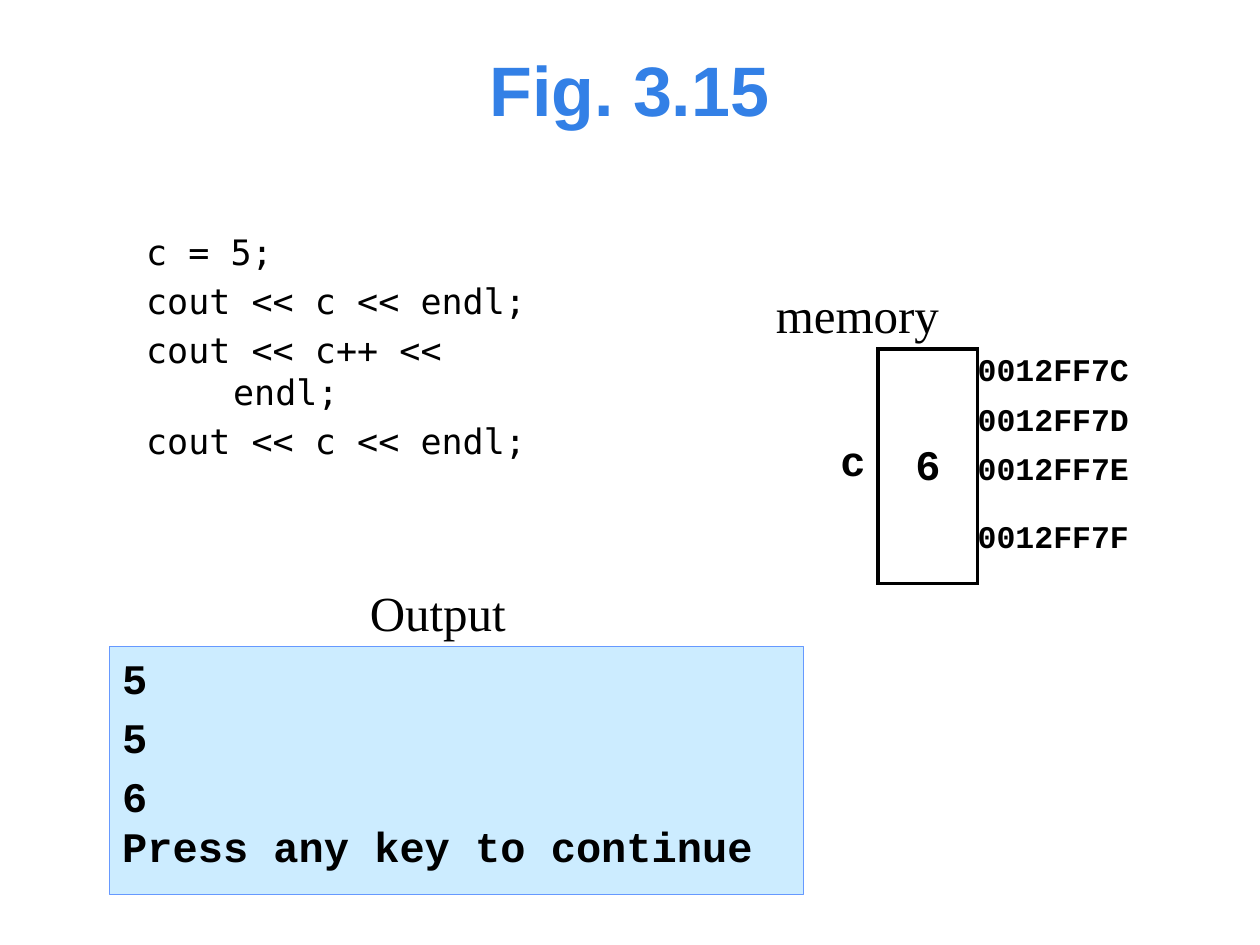
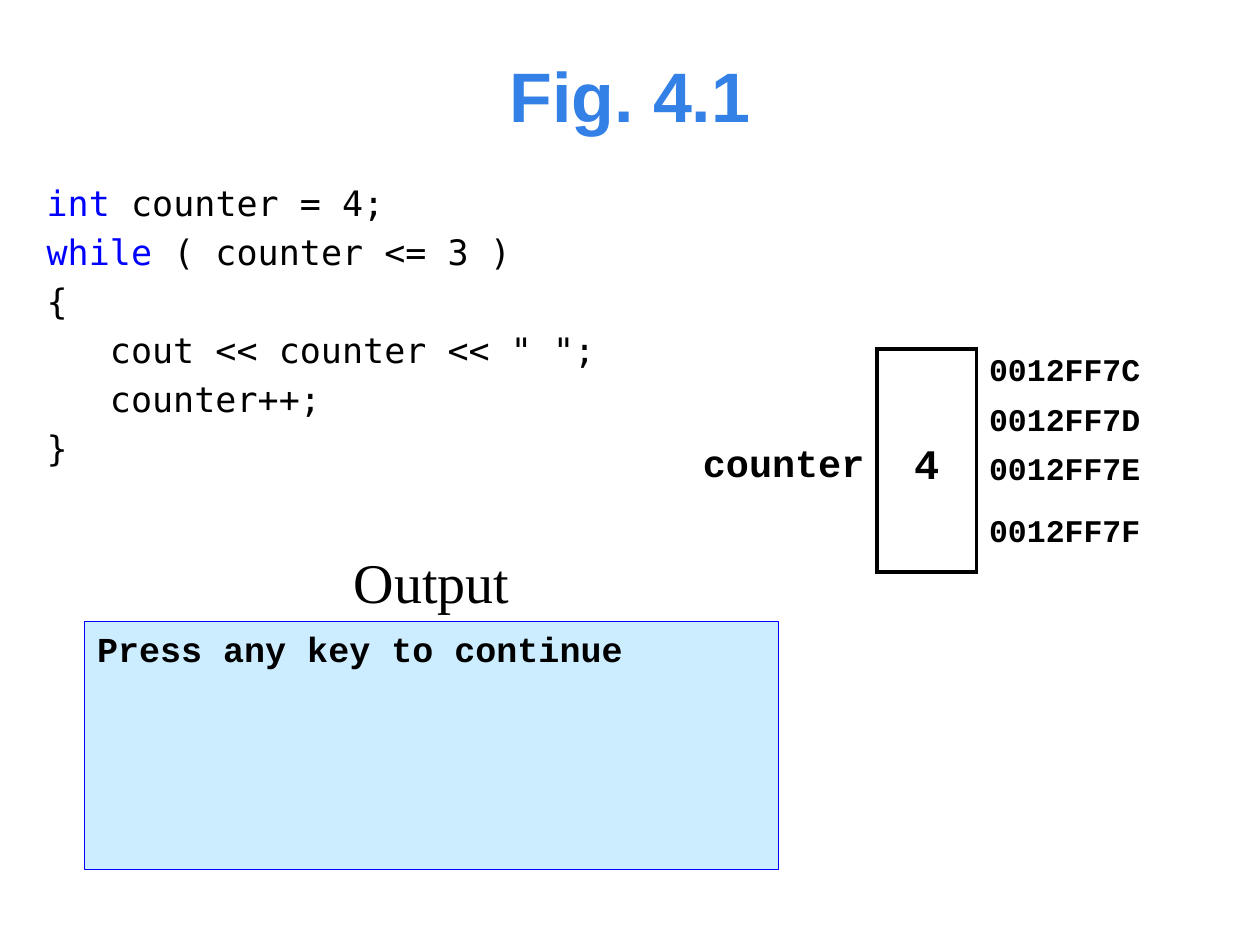
from lxml import etree
from pptx import Presentation
from pptx.dml.color import RGBColor
from pptx.enum.text import MSO_ANCHOR, MSO_AUTO_SIZE, PP_ALIGN
from pptx.oxml.ns import qn
from pptx.util import Inches, Pt

LEFT, CENTER, RIGHT = PP_ALIGN.LEFT, PP_ALIGN.CENTER, PP_ALIGN.RIGHT
TOP, MIDDLE, BOTTOM = MSO_ANCHOR.TOP, MSO_ANCHOR.MIDDLE, MSO_ANCHOR.BOTTOM
FIXED_SIZE = MSO_AUTO_SIZE.NONE

COLORS = {
    "title": "3380E6",
    "text": "000000",
    "keyword": "0000FF",
    "output": "CCECFF",
    "soft_edge": "6699FF",
    "strong_edge": "0000FF",
}
TITLE_FONT, CODE_FONT = "Arial", "DejaVu Sans Mono"
OUTPUT_FONT, LABEL_FONT = "Courier New", "Times New Roman"
PLAIN_TABLE = "{2D5ABB26-0587-4C30-8999-92F81FD0307C}"
TWO_CONTENT_LAYOUT = 3
ADDRESSES = ["0012FF7C", "0012FF7D", "0012FF7E", "0012FF7F"]
ROW_HEIGHT = 0.39
BORDER_WIDTH = 2.25


def color(name):
    return RGBColor.from_string(COLORS[name])


def write(frame, lines, font, size, bold=False, tone="text", align=LEFT,
          before=0, spacing=1.0, hanging=0):
    for number, line in enumerate(lines):
        para = frame.add_paragraph() if number else frame.paragraphs[0]
        para.alignment = align
        para.space_before = Pt(size * before)
        para.line_spacing = spacing
        properties = para._p.get_or_add_pPr()
        properties.set("marL", str(Inches(hanging)))
        properties.set("indent", str(Inches(-hanging)))
        etree.SubElement(properties, qn("a:buNone"))
        spans = [(line, tone)] if isinstance(line, str) else line
        for text, span_tone in spans:
            span = para.add_run()
            span.text = text
            span.font.name = font
            span.font.size = Pt(size)
            span.font.bold = bold
            span.font.color.rgb = color(span_tone)


def place(box, left, top, width, height, anchor=TOP, wrap=True):
    box.left, box.top = Inches(left), Inches(top)
    box.width, box.height = Inches(width), Inches(height)
    frame = box.text_frame
    frame.auto_size = FIXED_SIZE
    frame.word_wrap = wrap
    frame.vertical_anchor = anchor
    return frame


def add_page(deck, title, area):
    page = deck.slides.add_slide(deck.slide_layouts[TWO_CONTENT_LAYOUT])
    frame = place(page.shapes.title, *area, anchor=MIDDLE)
    write(frame, [title], TITLE_FONT, 40, bold=True, tone="title", align=CENTER)
    return page


def fill_code(page, lines, area):
    frame = place(page.placeholders[1], *area)
    write(frame, lines, CODE_FONT, 20, before=0.2, hanging=0.69)


def fill_output(page, lines, left, top, size, edge):
    box = page.placeholders[2]
    frame = place(box, left, top, 5.51, 1.97)
    box.fill.solid()
    box.fill.fore_color.rgb = color("output")
    box.line.color.rgb = color(edge)
    box.line.width = Pt(0.75)
    write(frame, lines, OUTPUT_FONT, size, bold=True, before=0.2, hanging=0.38)
    return frame


def add_label(page, text, left, top, height, size, anchor=TOP):
    box = page.shapes.add_textbox(0, 0, 0, 0)
    frame = place(box, left, top, 1.57, height, anchor=anchor, wrap=False)
    write(frame, [text], LABEL_FONT, size, align=CENTER)


def set_borders(cell, sides):
    properties = cell._tc.get_or_add_tcPr()
    for position, side in enumerate(sides):
        line = etree.Element(qn("a:ln" + side), w=str(Pt(BORDER_WIDTH)))
        fill = etree.SubElement(line, qn("a:solidFill"))
        etree.SubElement(fill, qn("a:srgbClr"), val=COLORS["text"])
        properties.insert(position, line)


def set_margins(cell, left, top, right, bottom):
    cell.margin_left, cell.margin_top = Inches(left), Inches(top)
    cell.margin_right, cell.margin_bottom = Inches(right), Inches(bottom)


def add_memory(page, name, value, left, widths, margins, name_size):
    count = len(ADDRESSES)
    table = page.shapes.add_table(
        count, len(widths), Inches(left), Inches(2.77),
        Inches(sum(widths)), Inches(ROW_HEIGHT * count)).table
    table.first_row = table.horz_banding = False
    table._tbl.tblPr.find(qn("a:tableStyleId")).text = PLAIN_TABLE
    for column, width in zip(table.columns, widths):
        column.width = Inches(width)
    for row_number, row in enumerate(table.rows):
        row.height = Inches(ROW_HEIGHT)
        for cell, margin in zip(row.cells, margins):
            cell.fill.background()
            cell.vertical_anchor = MIDDLE
            set_margins(cell, *margin)
        write(row.cells[2].text_frame, [ADDRESSES[row_number]],
              OUTPUT_FONT, 18, bold=True, before=0.2)
    for column, text, size, align in ((0, name, name_size, RIGHT),
                                      (1, value, 24, CENTER)):
        cell = table.cell(0, column)
        cell.merge(table.cell(count - 1, column))
        write(cell.text_frame, [text], OUTPUT_FONT, size, bold=True,
              align=align, before=0.2, spacing=1.4)
    set_borders(table.cell(0, 1), "LRTB")
    for row_number in range(1, count):
        set_borders(table.cell(row_number, 1),
                    "LRB" if row_number == count - 1 else "LR")


def add_increment_page(deck):
    page = add_page(deck, "Fig. 3.15", (0.27, 0.21, 9.45, 0.98))
    fill_code(page, ["c = 5;", "cout << c << endl;", "cout << c++ << endl;",
                     "cout << c << endl;"], (1.06, 1.78, 3.54, 1.77))
    output = fill_output(page, ["5", "5", "6", "Press any key to continue"],
                         0.87, 5.13, 24, "soft_edge")
    output.paragraphs[-1].space_before = Pt(0)
    add_memory(page, "c", "6", 6.38, (0.59, 0.79, 1.38),
               ((0.1, 0, 0.1, 0.16), (0, 0, 0, 0.1), (0, 0, 0, 0)), 24)
    add_label(page, "Output", 2.69, 4.57, 0.59, 28)
    add_label(page, "memory", 6.02, 2.21, 0.59, 28)


def add_loop_page(deck):
    page = add_page(deck, "Fig. 4.1", (0.67, 0.43, 8.66, 0.64))
    fill_code(page, [
        [("int", "keyword"), (" counter = 4;", "text")],
        [("while", "keyword"), (" ( counter <= 3 )", "text")],
        "{",
        "   cout << counter << \" \";",
        "   counter++;",
        "}",
    ], (0.27, 1.39, 4.73, 2.56))
    fill_output(page, ["Press any key to continue"], 0.67, 4.93, 20, "strong_edge")
    add_memory(page, "counter", "4", 5.39, (1.57, 0.79, 1.57),
               ((0.1, 0.02, 0.1, 0.05), (0.1, 0.02, 0.1, 0.05),
                (0.1, 0.04, 0.1, 0.04)), 22)
    add_label(page, "Output", 2.64, 4.14, 0.79, 32, anchor=BOTTOM)


def main():
    deck = Presentation()
    deck.slide_width, deck.slide_height = Inches(10), Inches(7.5)
    add_increment_page(deck)
    add_loop_page(deck)
    deck.save("out.pptx")


main()
